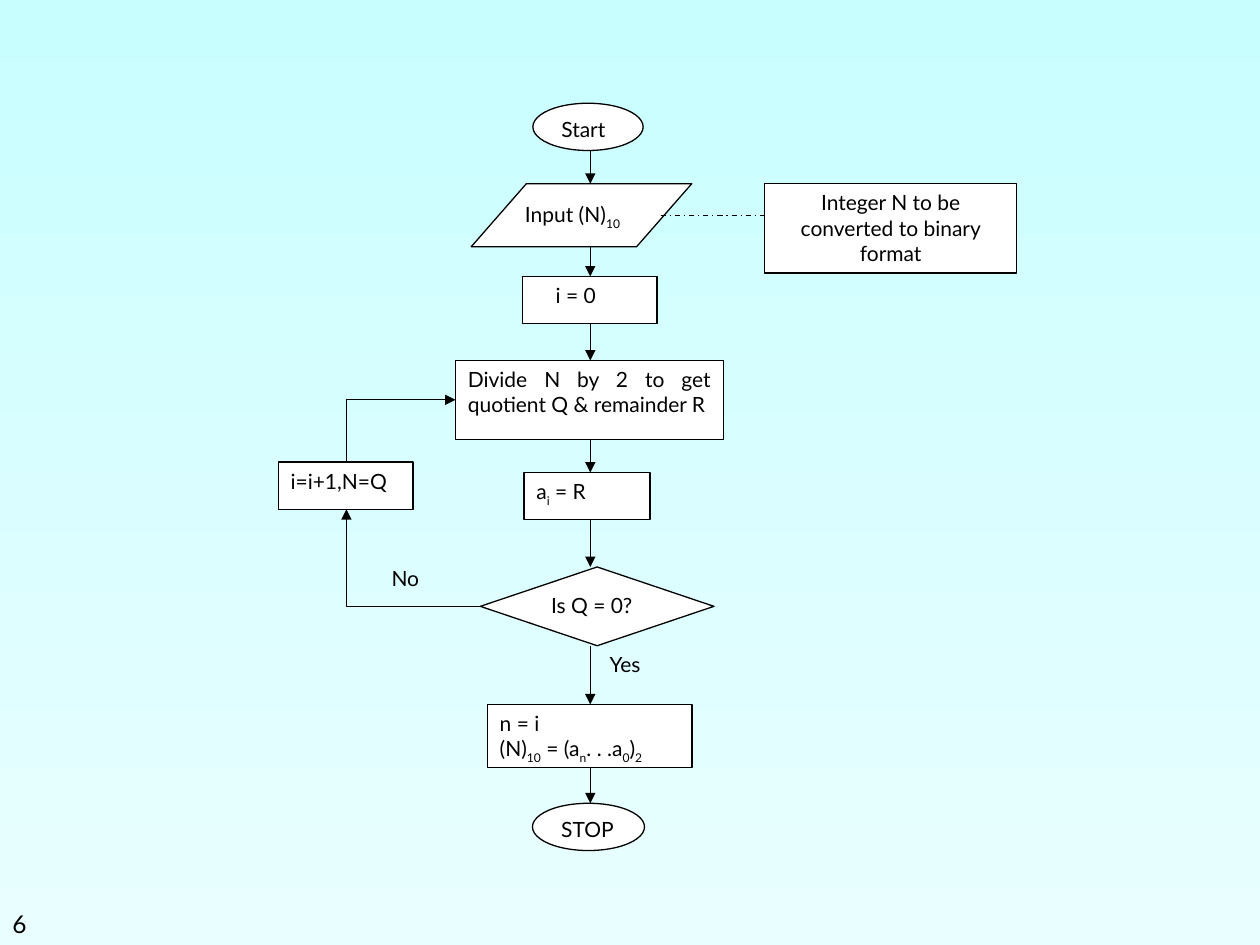
from itertools import pairwise

from pptx import Presentation
from pptx import util as u
from pptx.dml.color import RGBColor
from pptx.enum import dml, shapes, text
from pptx.oxml.ns import qn
from lxml import etree

THEME = {
    "font": "Lato", "body": 12, "number": 14, "line": 0.75, "sub": "-30000",
    "ink": RGBColor(0, 0, 0), "paper": RGBColor(255, 255, 255),
    "sky": (RGBColor.from_string("C9FEFF"), RGBColor.from_string("E9FEFF")),
}
KIND, ALIGN = shapes.MSO_SHAPE, text.PP_ALIGN

# Content: kind, (left, top, width, height), paragraphs, text format
# Text between two ~ marks is subscript
STEPS = [
    (KIND.OVAL, (304.5, 59, 63, 27), ["Start"], {}),
    (KIND.PARALLELOGRAM, (269.3, 105, 126, 36), ["Input (N)~10~"], {}),
    (KIND.RECTANGLE, (298.5, 158, 77, 27), ["i = 0"], {"indent": 12}),
    (KIND.RECTANGLE, (260.3, 206, 153, 45),
     ["Divide N by 2 to get quotient Q & remainder R"], {}),
    (KIND.RECTANGLE, (299.5, 270, 72, 27), ["a~i~ = R"], {}),
    (KIND.FLOWCHART_DECISION, (274.5, 324, 133.5, 45), ["Is Q = 0?"],
     {"align": ALIGN.LEFT}),
    (KIND.FLOWCHART_PROCESS, (278.5, 402.5, 117, 36),
     ["n = i", "(N)~10~ = (a~n~. . .a~0~)~2~"], {}),
    (KIND.OVAL, (304.3, 459, 64, 27), ["STOP"], {}),
]
NOTE = (KIND.RECTANGLE, (437, 105, 144, 51),
        ["Integer N to be converted to binary format"], {"align": ALIGN.CENTER})
INCREMENT = (KIND.RECTANGLE, (159, 264, 77, 27), ["i=i+1,N=Q"], {})
LABELS = [
    ((216.7, 319.7, 36, 27), ["No"], {}),
    ((341.3, 368.7, 36, 27), ["Yes"], {}),
    ((0, 522, 150, 18), ["6"], {"size": THEME["number"], "align": ALIGN.LEFT,
                                "anchor": text.MSO_ANCHOR.BOTTOM}),
]
FLOW_X = 337.3  # shared axis of the downward arrows
LOOP_X = 198  # axis of the loop on the left
NOTE_FROM = (377.5, 123)


def points(values):
    return [u.Pt(value) for value in values]


def write(shape, lines, align=ALIGN.JUSTIFY, size=THEME["body"], indent=0,
          anchor=text.MSO_ANCHOR.TOP):
    frame = shape.text_frame
    frame.word_wrap = True
    frame.vertical_anchor = anchor
    for index, line in enumerate(lines):
        paragraph = frame.add_paragraph() if index else frame.paragraphs[0]
        paragraph.alignment = align
        if indent:
            paragraph._p.get_or_add_pPr().set("marL", str(u.Pt(indent)))
        for part, words in enumerate(line.split("~")):
            if not words:
                continue
            run = paragraph.add_run()
            run.text = words
            run.font.name, run.font.size = THEME["font"], u.Pt(size)
            run.font.color.rgb = THEME["ink"]
            if part % 2:
                run._r.get_or_add_rPr().set("baseline", THEME["sub"])


def add_box(slide, kind, place, lines, style):
    box = slide.shapes.add_shape(kind, *points(place))
    box.shadow.inherit = False
    box.fill.solid()
    box.fill.fore_color.rgb = THEME["paper"]
    box.line.color.rgb = THEME["ink"]
    box.line.width = u.Pt(THEME["line"])
    if kind == KIND.PARALLELOGRAM:
        box.adjustments[0] = 0.875
    write(box, lines, **style)


def add_line(slide, start, end, arrow=None, bent=False, dash=None):
    kind = shapes.MSO_CONNECTOR.ELBOW if bent else shapes.MSO_CONNECTOR.STRAIGHT
    link = slide.shapes.add_connector(kind, *points(start + end))
    properties = link._element.spPr
    if bent:  # one corner: across first, then up or down
        properties.find(qn("a:prstGeom")).set("prst", "bentConnector2")
    link.line.color.rgb = THEME["ink"]
    link.line.width = u.Pt(THEME["line"])
    if dash:
        link.line.dash_style = dash
    if arrow:
        etree.SubElement(properties.find(qn("a:ln")), qn(arrow), type="triangle")
    etree.SubElement(properties, qn("a:effectLst"))


def main():
    deck = Presentation()
    deck.slide_width, deck.slide_height = u.Pt(720), u.Pt(540)
    slide = deck.slides.add_slide(deck.slide_layouts[6])

    # Background
    sky = slide.background.fill
    sky.gradient()
    sky.gradient_angle = 270
    for stop, colour in zip(sky.gradient_stops, THEME["sky"]):
        stop.color.rgb = colour

    # Boxes
    for box in STEPS + [NOTE, INCREMENT]:
        add_box(slide, *box)

    # Downward arrows between consecutive steps
    for (_, above, *_), (_, below, *_) in pairwise(STEPS):
        add_line(slide, (FLOW_X, above[1] + above[3]), (FLOW_X, below[1]),
                 arrow="a:tailEnd")

    # Link to the note
    add_line(slide, NOTE_FROM, (NOTE[1][0], NOTE_FROM[1]),
             dash=dml.MSO_LINE.DASH_DOT)

    # Loop: decision to increment, increment back to division
    divide, decision, increment = STEPS[3][1], STEPS[5][1], INCREMENT[1]
    add_line(slide, (decision[0], decision[1] + decision[3] / 2),
             (LOOP_X, increment[1] + increment[3]), arrow="a:tailEnd", bent=True)
    add_line(slide, (divide[0], divide[1] + divide[3] / 2),
             (LOOP_X, increment[1]), arrow="a:headEnd", bent=True)

    # Branch labels and slide number
    for place, lines, style in LABELS:
        write(slide.shapes.add_textbox(*points(place)), lines, **style)

    deck.save("out.pptx")


if __name__ == "__main__":
    main()
